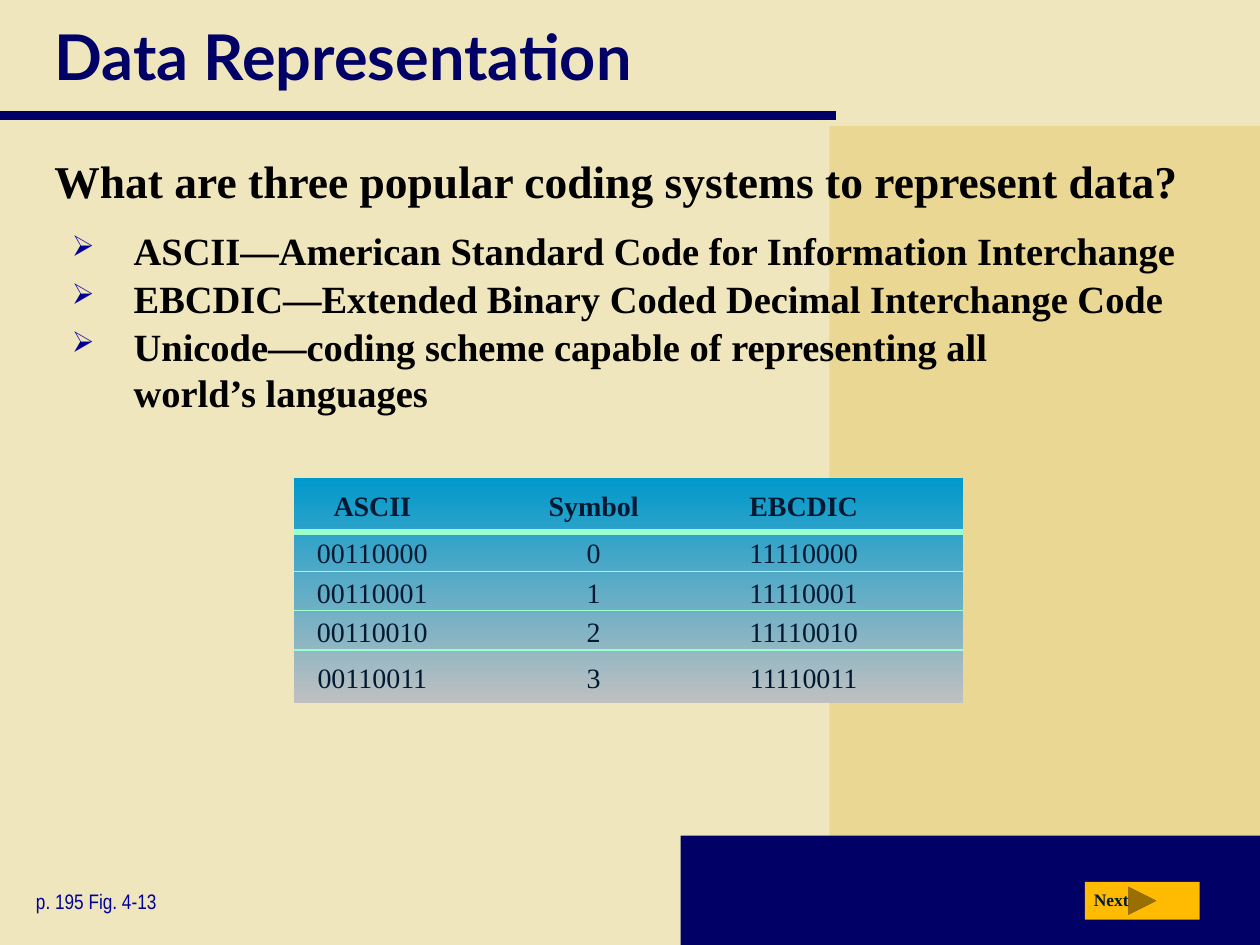
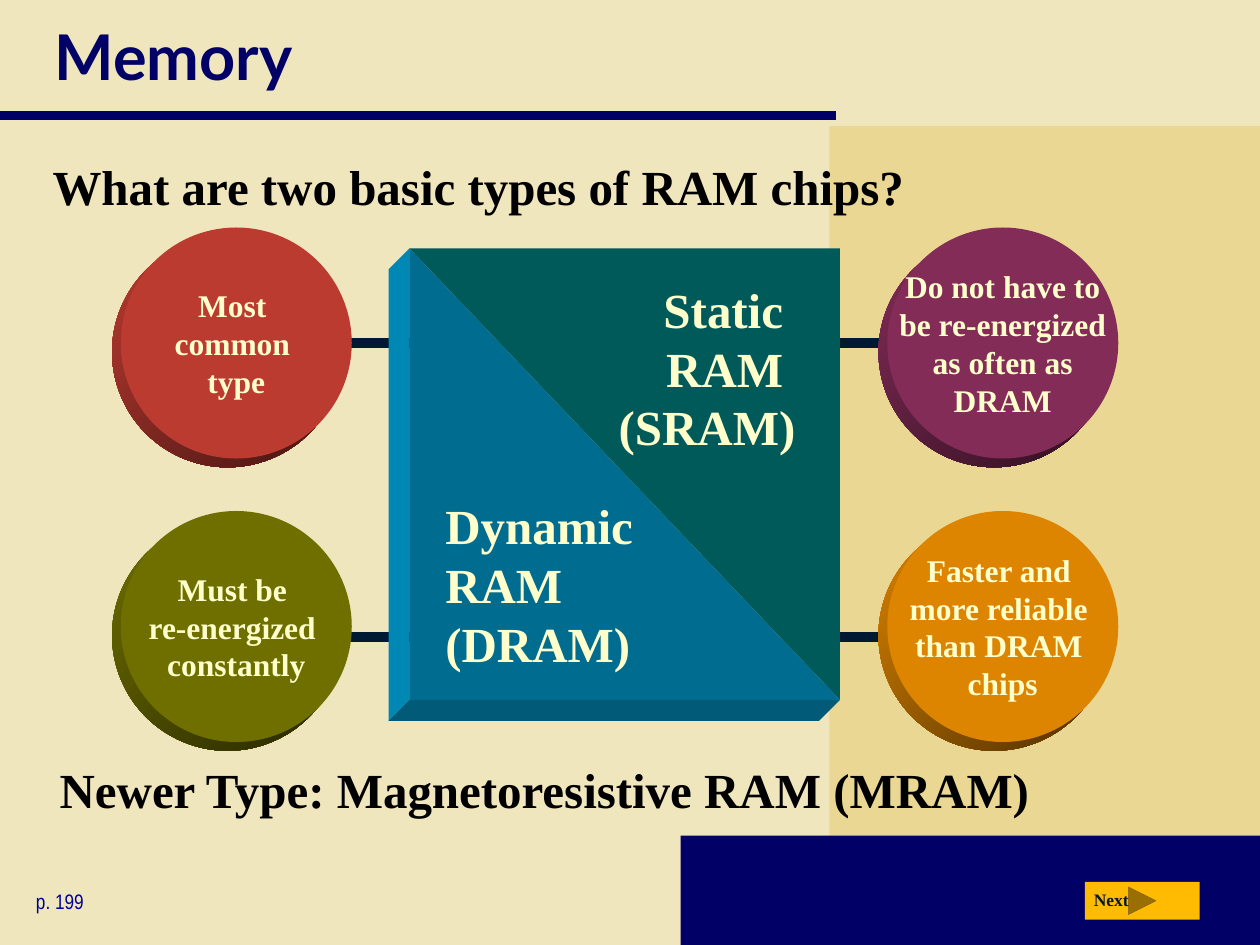
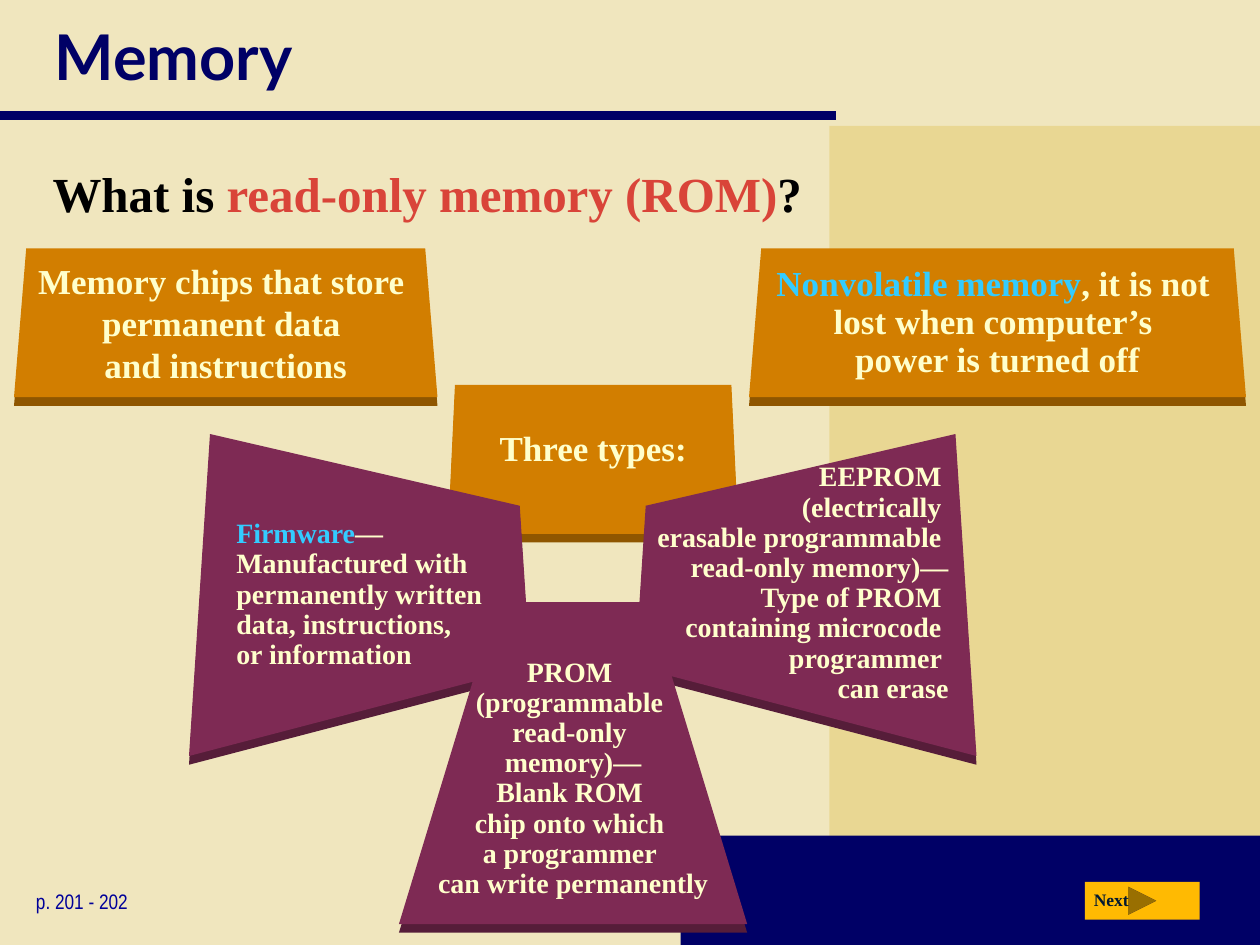
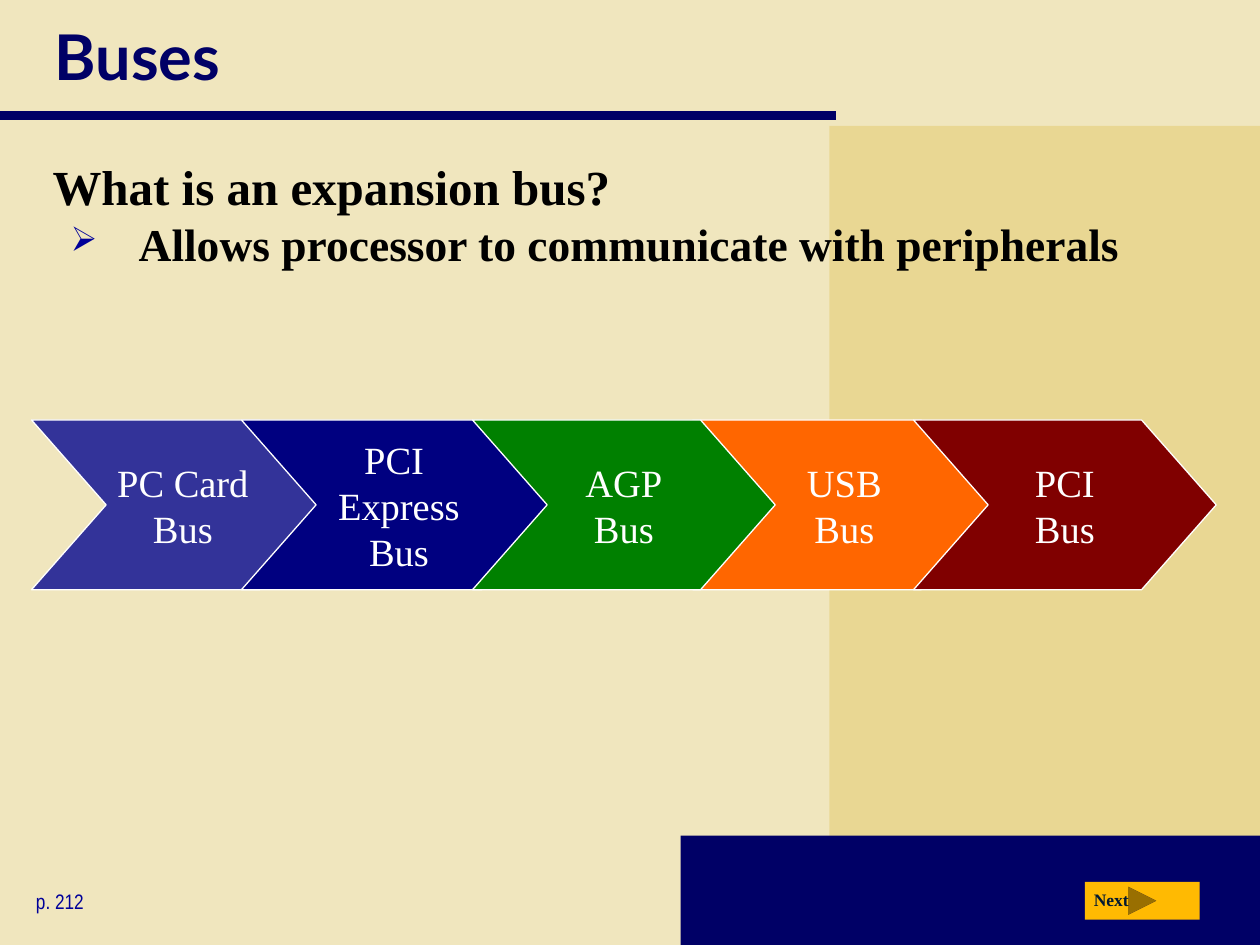
import lxml.etree
import pptx
import pptx.dml.color
import pptx.enum.dml
import pptx.enum.shapes
import pptx.enum.text
import pptx.oxml.ns
import pptx.util

Pt = pptx.util.Pt
RGBColor = pptx.dml.color.RGBColor
SHAPE = pptx.enum.shapes.MSO_SHAPE
ALIGN = pptx.enum.text.PP_ALIGN
ANCHOR = pptx.enum.text.MSO_ANCHOR

# Shared colours and fonts
CREAM = RGBColor(0xF0, 0xE6, 0xBE)
SAND = RGBColor(0xE9, 0xD7, 0x93)
NAVY = RGBColor(0x00, 0x00, 0x66)
BLUE = RGBColor(0x00, 0x00, 0x99)
BLACK = RGBColor(0x00, 0x00, 0x00)
WHITE = RGBColor(0xFF, 0xFF, 0xFF)
INK = RGBColor(0x00, 0x19, 0x32)
GOLD = RGBColor(0xFF, 0xBA, 0x02)
IVORY = RGBColor(0xFF, 0xFF, 0xCC)
MINT = RGBColor(0x99, 0xFF, 0xCC)
CYAN = RGBColor(0x00, 0x99, 0xCC)
SKY = RGBColor(0x33, 0xCC, 0xFF)
SILVER = RGBColor(0xC0, 0xC0, 0xC0)
TEAL = RGBColor(0x00, 0x80, 0x80)
RED = RGBColor(0xD9, 0x44, 0x39)
PLUM = RGBColor(0x99, 0x33, 0x66)
OLIVE = RGBColor(0x80, 0x80, 0x00)
AMBER = RGBColor(0xFF, 0x99, 0x00)
INDIGO = RGBColor(0x33, 0x33, 0x99)
DARK_BLUE = RGBColor(0x00, 0x00, 0x80)
GREEN = RGBColor(0x00, 0x80, 0x00)
ORANGE = RGBColor(0xFF, 0x66, 0x00)
MAROON = RGBColor(0x80, 0x00, 0x00)
SERIF = "Times New Roman"
TITLE_FONT = "Lato"
NARROW = "Arial Narrow"

# Content: data representation
CODING_SYSTEMS = [
    "ASCII—American Standard Code for Information Interchange",
    "EBCDIC—Extended Binary Coded Decimal Interchange Code",
    "Unicode—coding scheme capable of representing all\nworld’s languages",
]
CODE_ROWS = [
    ("ASCII", "Symbol", "EBCDIC"),
    ("00110000", "0", "11110000"),
    ("00110001", "1", "11110001"),
    ("00110010", "2", "11110010"),
    ("00110011", "3", "11110011"),
]
CODE_COLUMN_WIDTHS = [89.5, 163.5, 129.5]
CODE_ROW_HEIGHTS = [31, 22.5, 22.5, 22.5, 30.5]

# Content: RAM traits as text, colour, column and row
RAM_TRAITS = [
    ("Must be \nre-energized \nconstantly", OLIVE, 0, 1),
    ("Do not have to\nbe re-energized\nas often as\nDRAM", PLUM, 1, 0),
    ("Most \ncommon \ntype", RED, 0, 0),
    ("Faster and \nmore reliable \nthan DRAM \nchips", AMBER, 1, 1),
]

# Content: ROM panels as left, top, width, text, line spacing, bottom inset
ROM_PANELS = [
    (12, 132, 234, "Memory chips that store \npermanent data \nand instructions", 1, 0),
    (432, 132, 276, [("Nonvolatile memory", SKY),
                     (", it is not \nlost when computer’s \npower is turned off", IVORY)], 0.9, 0),
    (258, 210, 162, "Three types:", 0.9, 11),
]
FIRMWARE_OUTLINE = [(119.5, 248), (297, 289), (303, 381), (107.5, 431.5)]
ROM_AXIS = 333  # the EEPROM outline mirrors the firmware outline about this x
EEPROM_OUTLINE = [(2 * ROM_AXIS - x, y) for x, y in FIRMWARE_OUTLINE]
PROM_OUTLINE = [(284, 344), (371, 344), (427, 527.5), (227.5, 527.5)]
# Outline, text, alignment, insets (left, top, right, bottom)
ROM_TYPES = [
    (FIRMWARE_OUTLINE,
     [("Firmware", SKY),
      ("—\nManufactured with \npermanently written \ndata, instructions, \nor information", IVORY)],
     ALIGN.LEFT, (27, 0, 0, 0)),
    (EEPROM_OUTLINE,
     "EEPROM \n(electrically \nerasable programmable \nread-only memory)—\nType of PROM \n"
     "containing microcode \nprogrammer \ncan erase",
     ALIGN.RIGHT, (0, 0, 16, 13)),
    (PROM_OUTLINE,
     "PROM \n(programmable \nread-only \nmemory)—\nBlank ROM \nchip onto which \n"
     "a programmer \ncan write permanently",
     ALIGN.CENTER, (0, 18, 0, 0)),
]

# Content: buses in drawing order as left, width, text, colour
BUSES = [
    (18, 173, "PC Card\nBus", INDIGO),
    (396, 173, "USB\nBus", ORANGE),
    (522, 173, "PCI\nBus", MAROON),
    (138, 180, "PCI \nExpress\nBus", DARK_BLUE),
    (270, 173, "AGP\nBus", GREEN),
]


def darken(color, factor):
    return RGBColor(*(round(channel * factor) for channel in color))


def add_xml(parent, tag, **attributes):
    return lxml.etree.SubElement(parent, pptx.oxml.ns.qn(tag), attributes)


# Text helpers
def write_paragraph(paragraph, text, size, color, bold=True, font=SERIF,
                    align=ALIGN.LEFT, spacing=None):
    """Text is one string, or a list of (string, colour) parts."""
    if isinstance(text, str):
        paragraph.text = text
    else:
        for part, part_color in text:
            for index, line in enumerate(part.split("\n")):
                if index:
                    paragraph.add_line_break()
                run = paragraph.add_run()
                run.text = line
                run.font.color.rgb = part_color
    paragraph.alignment = align
    if spacing:
        paragraph.line_spacing = spacing
    paragraph.font.name = font
    paragraph.font.size = Pt(size)
    paragraph.font.bold = bold
    paragraph.font.color.rgb = color


def set_insets(frame, insets):
    (frame.margin_left, frame.margin_top,
     frame.margin_right, frame.margin_bottom) = map(Pt, insets)


def write_in_shape(shape, text, size, color=IVORY, insets=(0, 0, 0, 0), wrap=False,
                   align=ALIGN.CENTER, **style):
    frame = shape.text_frame
    frame.word_wrap = wrap
    frame.vertical_anchor = ANCHOR.MIDDLE
    set_insets(frame, insets)
    write_paragraph(frame.paragraphs[0], text, size, color, align=align, **style)


def add_text(slide, box, text, size, color=BLACK, **style):
    frame = slide.shapes.add_textbox(*map(Pt, box)).text_frame
    frame.word_wrap = True
    write_paragraph(frame.paragraphs[0], text, size, color, **style)


def add_bullets(slide, box, items, size, margin, hanging):
    frame = slide.shapes.add_textbox(*map(Pt, box)).text_frame
    frame.word_wrap = True
    for index, item in enumerate(items):
        paragraph = frame.add_paragraph() if index else frame.paragraphs[0]
        properties = paragraph._p.get_or_add_pPr()
        properties.set("marL", str(Pt(margin)))
        properties.set("indent", str(-Pt(hanging)))
        bullet_color = add_xml(properties, "a:buClr")
        add_xml(bullet_color, "a:srgbClr", val=str(BLUE))
        add_xml(properties, "a:buSzPct", val="75000")
        add_xml(properties, "a:buChar", char="➢")
        write_paragraph(paragraph, item, size, BLACK)
        if index:
            paragraph.space_before = Pt(size * 0.05)


# Shape helpers
def paint(shape, fill, line=None):
    shape.shadow.inherit = False
    shape.fill.solid()
    shape.fill.fore_color.rgb = fill
    if line:
        shape.line.color.rgb = line
        shape.line.width = Pt(0.75)
    else:
        shape.line.fill.background()
    return shape


def add_shape(slide, kind, box, fill, line=None):
    return paint(slide.shapes.add_shape(kind, *map(Pt, box)), fill, line)


def add_gradient(slide, kind, box, start, end, angle):
    shape = add_shape(slide, kind, box, start)
    shape.fill.gradient()
    shape.fill.gradient_angle = angle
    for stop, color, position in zip(shape.fill.gradient_stops, (start, end), (0, 1)):
        stop.color.rgb = color
        stop.position = position


def add_line(slide, start, end, color, width):
    line = slide.shapes.add_connector(pptx.enum.shapes.MSO_CONNECTOR.STRAIGHT,
                                      *map(Pt, start + end))
    line.line.color.rgb = color
    line.line.width = Pt(width)
    add_xml(line._element.spPr, "a:effectLst")


def add_polygon(slide, points, fill):
    builder = slide.shapes.build_freeform(*points[0], scale=float(Pt(1)))
    builder.add_line_segments(points[1:], close=True)
    return paint(builder.convert_to_shape(), fill)


def add_raised_polygon(slide, points, color, depth=5.5):
    add_polygon(slide, [(x, y + depth) for x, y in points], darken(color, 0.56))
    return add_polygon(slide, points, darken(color, 0.825))


# Frame common to all slides
def add_slide(presentation, title, page):
    slide = presentation.slides.add_slide(presentation.slide_layouts[5])
    add_shape(slide, SHAPE.RECTANGLE, (474, 72, 246, 468), SAND)
    add_shape(slide, SHAPE.RECTANGLE, (389, 477.5, 331, 62.5), NAVY)
    add_line(slide, (0, 66), (478, 66), NAVY, 5)

    heading = slide.shapes.title
    heading.left, heading.top, heading.width, heading.height = map(Pt, (24, 0, 676, 63))
    heading.text_frame.auto_size = pptx.enum.text.MSO_AUTO_SIZE.NONE
    heading.text_frame.vertical_anchor = ANCHOR.MIDDLE
    write_paragraph(heading.text_frame.paragraphs[0], title, 36, NAVY, font=TITLE_FONT)

    add_text(slide, (13.5, 504, 122, 22), page, 12, BLUE, bold=False, font=NARROW)
    add_shape(slide, SHAPE.ACTION_BUTTON_FORWARD_OR_NEXT, (620, 504, 65.5, 21.5), GOLD)
    add_text(slide, (618, 504.5, 37, 19.5), "Next", 10, INK)
    return slide


def set_cell_borders(cell, above, below):
    """Widths in points of the lines above and below; zero means no line."""
    properties = cell._tc.get_or_add_tcPr()
    for index, (tag, width) in enumerate(
            [("a:lnL", 0), ("a:lnR", 0), ("a:lnT", above), ("a:lnB", below)]):
        border = add_xml(properties, tag, w=str(Pt(width)))
        if width:
            add_xml(add_xml(border, "a:solidFill"), "a:srgbClr", val=str(MINT))
        else:
            add_xml(border, "a:noFill")
        properties.insert(index, border)


def add_code_table(slide, left, top):
    box = (left, top, sum(CODE_COLUMN_WIDTHS), sum(CODE_ROW_HEIGHTS))
    add_gradient(slide, SHAPE.RECTANGLE, box, CYAN, SILVER, 270)
    table = slide.shapes.add_table(len(CODE_ROWS), len(CODE_COLUMN_WIDTHS),
                                   *map(Pt, box)).table
    table.first_row = table.horz_banding = False
    for column, width in zip(table.columns, CODE_COLUMN_WIDTHS):
        column.width = Pt(width)
    rules = [0, 4.5, 0.75, 0.75, 0.75, 0]
    for row, values in enumerate(CODE_ROWS):
        table.rows[row].height = Pt(CODE_ROW_HEIGHTS[row])
        for column, value in enumerate(values):
            cell = table.cell(row, column)
            cell.fill.background()
            set_cell_borders(cell, rules[row], rules[row + 1])
            set_insets(cell, (0, 3, 53 if column == 2 else 0, 0))
            cell.vertical_anchor = ANCHOR.MIDDLE
            write_paragraph(cell.text_frame.paragraphs[0], value, 16, INK,
                            bold=row == 0, align=ALIGN.CENTER)


# Slides
def build_data_representation(presentation):
    slide = add_slide(presentation, "Data Representation", "p. 195 Fig. 4-13")
    add_text(slide, (24, 84, 684, 48),
             "What are three popular coding systems to represent data?", 26)
    add_bullets(slide, (22.5, 126, 696, 78), CODING_SYSTEMS, 22, 46.8, 35.3)
    add_code_table(slide, 168, 273)


def build_ram(presentation):
    slide = add_slide(presentation, "Memory", "p. 199")
    add_text(slide, (23, 86, 676, 52), "What are two basic types of RAM chips?", 28)

    # Round traits, each joined to the block in the middle
    diameter = 132
    for text, color, column, row in RAM_TRAITS:
        left, top = 69 + 438 * column, 130 + 162 * row
        line_left, line_y = 190 + 278 * column, 196 + 168 * row
        add_line(slide, (line_left, line_y), (line_left + 48, line_y), INK, 6)
        face = darken(color, 0.865)
        add_gradient(slide, SHAPE.OVAL, (left - 5, top + 5, diameter, diameter),
                     face, darken(color, 0.3), 315)
        disc = add_shape(slide, SHAPE.OVAL, (left, top, diameter, diameter), face)
        write_in_shape(disc, text, 18)

    # Raised block of two triangles
    left, top, width, height, depth = 234, 142, 246, 258, 12
    right, bottom = left + width, top + height
    add_polygon(slide, [(left - depth, top + depth), (left, top), (left, bottom),
                        (left - depth, bottom + depth)], darken(CYAN, 0.88))
    add_polygon(slide, [(left - depth, bottom + depth), (left, bottom), (right, bottom),
                        (right - depth, bottom + depth)], darken(CYAN, 0.59))
    block = (left, top, width, height)
    static = add_shape(slide, SHAPE.RIGHT_TRIANGLE, block, darken(TEAL, 0.705))
    static.rotation = 180
    dynamic = add_shape(slide, SHAPE.RIGHT_TRIANGLE, block, darken(CYAN, 0.705))
    write_in_shape(dynamic, "Dynamic \nRAM \n(DRAM)", 28, insets=(0, 0, 0, 3.6),
                   wrap=True, align=ALIGN.LEFT)
    add_text(slide, (308, 156, 153.5, 109), "Static \nRAM \n(SRAM)", 28, IVORY,
             align=ALIGN.RIGHT)
    add_text(slide, (27, 430.5, 676, 52), "Newer Type: Magnetoresistive RAM (MRAM)", 28)


def build_rom(presentation):
    slide = add_slide(presentation, "Memory", "p. 201 - 202")
    add_text(slide, (23, 90, 648, 54),
             [("What is ", BLACK), ("read-only memory (ROM)", RED), ("?", BLACK)], 28)

    # Panels seen in perspective: narrower at the top, wider at the bottom
    for left, top, width, text, spacing, bottom_inset in ROM_PANELS:
        center = left + width / 2
        top_half, bottom_half = 0.4875 * width, 0.515 * width
        face_top, face_bottom = top + 10, top + 95
        panel = add_raised_polygon(slide, [
            (center - top_half, face_top), (center + top_half, face_top),
            (center + bottom_half, face_bottom), (center - bottom_half, face_bottom),
        ], AMBER)
        write_in_shape(panel, text, 20, insets=(0, 0, 0, bottom_inset), spacing=spacing)

    for outline, text, align, insets in ROM_TYPES:
        blade = add_raised_polygon(slide, outline, PLUM)
        write_in_shape(blade, text, 16, insets=insets, wrap=True, align=align, spacing=0.9)


def build_buses(presentation):
    slide = add_slide(presentation, "Buses", "p. 212")
    add_text(slide, (23, 86, 676, 40), "What is an expansion bus?", 28)
    add_bullets(slide, (24, 120, 676, 60),
                ["Allows processor to communicate with peripherals"], 26, 48.2, 38.9)
    for left, width, text, color in BUSES:
        chevron = add_shape(slide, SHAPE.CHEVRON, (left, 240, width, 97), color, WHITE)
        chevron.adjustments[0] = 0.44
        write_in_shape(chevron, text, 22, WHITE, bold=False)


def main():
    presentation = pptx.Presentation()
    presentation.slide_width, presentation.slide_height = Pt(720), Pt(540)
    background = presentation.slide_master.background.fill
    background.solid()
    background.fore_color.rgb = CREAM
    build_data_representation(presentation)
    build_ram(presentation)
    build_rom(presentation)
    build_buses(presentation)
    presentation.save("out.pptx")


if __name__ == "__main__":
    main()
